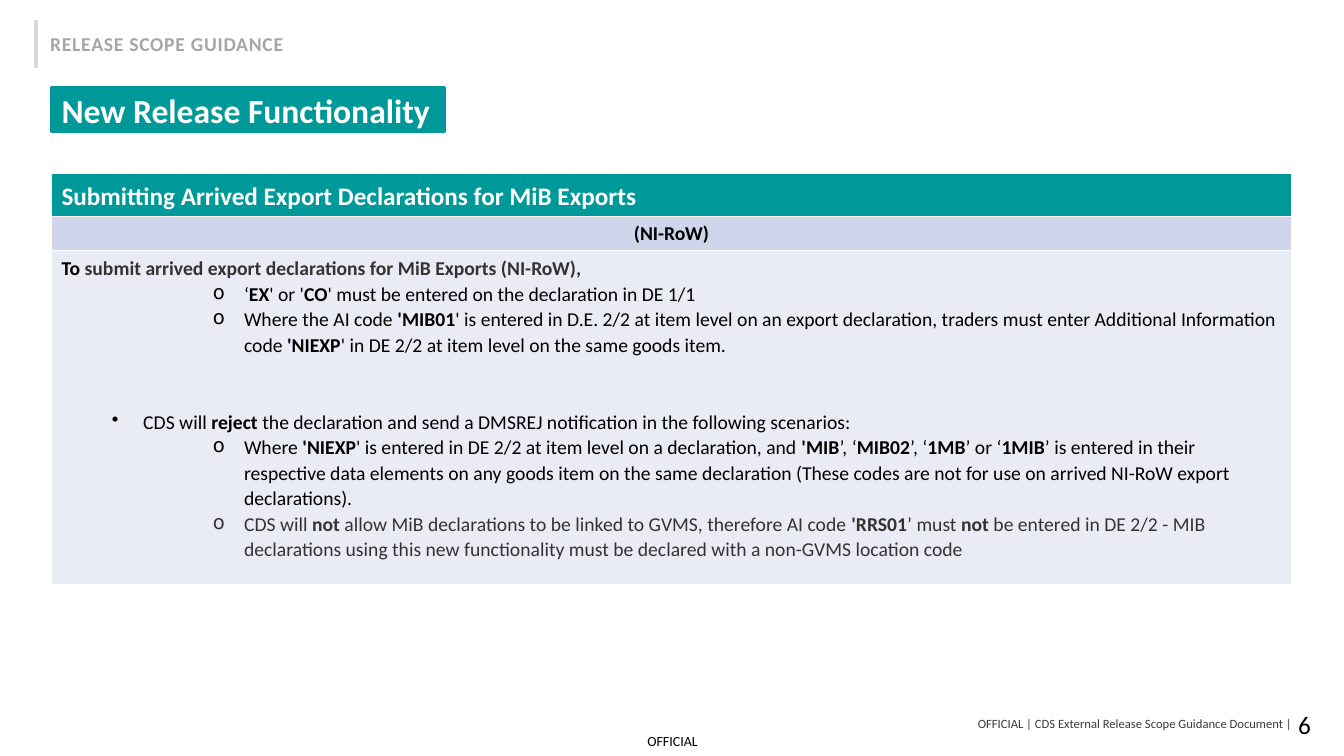
import lxml.etree
import pptx
import pptx.dml.color
import pptx.enum.shapes
import pptx.enum.text
import pptx.oxml
import pptx.oxml.ns
import pptx.util

WIDTH, HEIGHT = pptx.util.Inches(13.33), pptx.util.Inches(7.5)
TEAL, WHITE, BLACK, GREY = "009999", "FFFFFF", "000000", "333333"
ALIGN, ANCHOR = pptx.enum.text.PP_ALIGN, pptx.enum.text.MSO_ANCHOR
LEFT_EDGE = 3.83
LINE_SPACING = 1.07
TABLE_ROWS = (5.5, 4.5, 44.2)

# (bullet, left margin in inches, space before in points, colour, text with **bold** parts)
GUIDANCE = [
    ("o", 1.81, 0, BLACK, "‘**EX**' or '**CO**' must be entered on the declaration in DE 1/1"),
    ("o", 1.81, 0, BLACK,
     "Where the AI code **'MIB01**' is entered in D.E. 2/2 at item level on an export declaration, "
     "traders must enter Additional Information code **'NIEXP**' in DE 2/2 at item level on the "
     "same goods item."),
    ("•", 0.81, 36.6, BLACK,
     "CDS will **reject** the declaration and send a DMSREJ notification in the following scenarios:"),
    ("o", 1.81, 0, BLACK,
     "Where **'NIEXP**' is entered in DE 2/2 at item level on a declaration, and **'MIB**’, "
     "‘**MIB02**’, ‘**1MB**’ or ‘**1MIB**’ is entered in their respective data elements on any "
     "goods item on the same declaration (These codes are not for use on arrived NI-RoW export "
     "declarations)."),
    ("o", 1.81, 0, GREY,
     "CDS will **not** allow MiB declarations to be linked to GVMS, therefore AI code **'RRS01**’ "
     "must **not** be entered in DE 2/2 - MIB declarations using this new functionality must be "
     "declared with a non-GVMS location code"),
]


def share_x(percent):
    return round(WIDTH * percent / 100)


def share_y(percent):
    return round(HEIGHT * percent / 100)


def area(left, top, width, height):
    """Turn percentages of the slide into left, top, width and height."""
    return share_x(left), share_y(top), share_x(width), share_y(height)


def paint(color_format, color):
    color_format.rgb = pptx.dml.color.RGBColor.from_string(color)


def apply(target, values):
    for name, value in values.items():
        setattr(target, name, value)


def add_run(paragraph, text, size, color, bold=False):
    run = paragraph.add_run()
    run.text = text
    apply(run.font, {"name": "Calibri", "size": pptx.util.Pt(size), "bold": bold})
    paint(run.font.color, color)
    return run


def add_label(slide, place, text, size, color, align, bold=False, **frame_values):
    frame = slide.shapes.add_textbox(*place).text_frame
    apply(frame, {"word_wrap": True, "vertical_anchor": ANCHOR.MIDDLE, **frame_values})
    frame.paragraphs[0].alignment = align
    return add_run(frame.paragraphs[0], text, size, color, bold)


def add_rule(slide, x):
    rule = slide.shapes.add_connector(
        pptx.enum.shapes.MSO_CONNECTOR.STRAIGHT, share_x(x), share_y(2.67), share_x(x), share_y(8.93))
    paint(rule.line.color, "D9D9D9")
    rule.line.width = pptx.util.Pt(2.25)
    lxml.etree.SubElement(rule._element.spPr, pptx.oxml.ns.qn("a:effectLst"))


def add_title(slide, text):
    title = slide.shapes.title
    place = area(LEFT_EDGE, 11.6, 29.26, 5.87)
    apply(title, dict(zip(("left", "top", "width", "height"), place)))
    title.fill.solid()
    paint(title.fill.fore_color, TEAL)
    paint(title.line.color, TEAL)
    title.line.width = pptx.util.Pt(2)
    apply(title.text_frame, {"vertical_anchor": ANCHOR.MIDDLE, "word_wrap": True,
                             "auto_size": pptx.enum.text.MSO_AUTO_SIZE.NONE})
    heading = title.text_frame.paragraphs[0]
    heading.alignment = ALIGN.LEFT
    add_run(heading, text, 24, WHITE, True)


def style_cell(cell, color):
    """Fill a cell and give it thin white borders."""
    cell.fill.solid()
    paint(cell.fill.fore_color, color)
    properties = cell._tc.get_or_add_tcPr()
    for position, side in enumerate("LRTB"):
        properties.insert(position, pptx.oxml.parse_xml(
            f'<a:ln{side} {pptx.oxml.ns.nsdecls("a")} w="12700"><a:solidFill>'
            f'<a:srgbClr val="{WHITE}"/></a:solidFill></a:ln{side}>'))


def add_bullet(frame, bullet, margin, space_before, color, text):
    paragraph = frame.add_paragraph()
    apply(paragraph, {"level": 3 if bullet == "o" else 1, "line_spacing": LINE_SPACING,
                      "space_before": pptx.util.Pt(space_before)})
    properties = paragraph._p.get_or_add_pPr()
    properties.set("marL", str(pptx.util.Inches(margin)))
    properties.set("indent", str(pptx.util.Inches(-0.31)))
    lxml.etree.SubElement(properties, pptx.oxml.ns.qn("a:buChar")).set("char", bullet)
    for index, part in enumerate(text.split("**")):
        if part:
            add_run(paragraph, part, 14, color, index % 2 == 1)


def add_guidance_table(slide):
    place = area(LEFT_EDGE, 23, 92.27, sum(TABLE_ROWS))
    table = slide.shapes.add_table(len(TABLE_ROWS), 1, *place).table
    for row, height in zip(table.rows, TABLE_ROWS):
        row.height = share_y(height)
    cells = [row.cells[0] for row in table.rows]
    for cell, color in zip(cells, (TEAL, "CFD5EA", "E9EBF5")):
        style_cell(cell, color)
    subject, route, details = (cell.text_frame for cell in cells)

    subject.paragraphs[0].line_spacing = LINE_SPACING
    add_run(subject.paragraphs[0], "Submitting Arrived Export Declarations for MiB Exports",
            18, WHITE, True)
    route.paragraphs[0].alignment = ALIGN.CENTER
    add_run(route.paragraphs[0], "(NI-RoW)", 14, BLACK, True)

    purpose = details.paragraphs[0]
    purpose.line_spacing = LINE_SPACING
    add_run(purpose, "To ", 14, BLACK, True)
    add_run(purpose, "submit arrived export declarations for MiB Exports (NI-RoW),", 14, GREY, True)
    for item in GUIDANCE:
        add_bullet(details, *item)


def main():
    deck = pptx.Presentation()
    apply(deck, {"slide_width": WIDTH, "slide_height": HEIGHT})
    slide = deck.slides.add_slide(deck.slide_layouts.get_by_name("Title Only"))
    no_margins = dict.fromkeys(("margin_left", "margin_top", "margin_right", "margin_bottom"), 0)

    add_label(slide, area(47.04, 96.13, 6, 3.87), "OFFICIAL", 10, BLACK, ALIGN.CENTER, **no_margins)
    for x in (2.7, 2.63):
        add_rule(slide, x)
    section = add_label(slide, area(3, 3.6, 19.05, 4.53), "RELEASE SCOPE GUIDANCE", 14, "A6A6A6",
                        ALIGN.LEFT, True, word_wrap=False, vertical_anchor=ANCHOR.TOP)
    section.font._element.set("spc", "50")
    add_label(slide, area(94.6, 93.2, 3.68, 5.33), "6", 18, BLACK, ALIGN.RIGHT)
    add_label(slide, area(24.38, 94.67, 71.72, 2.13),
              "OFFICIAL | CDS External Release Scope Guidance Document |", 9, "3B3A3D",
              ALIGN.RIGHT, **no_margins)
    add_title(slide, "New Release Functionality")
    add_guidance_table(slide)
    deck.save("out.pptx")


if __name__ == "__main__":
    main()
